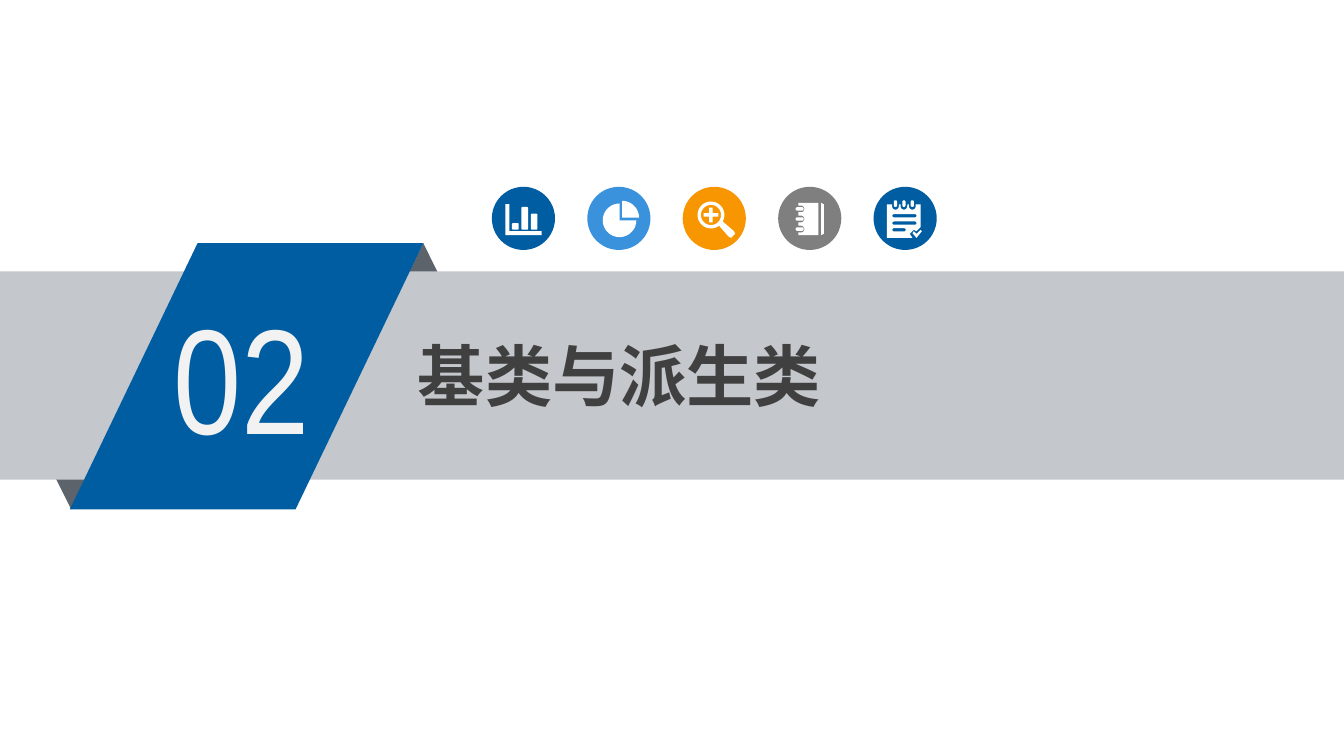
import math
import pptx
import pptx.util
import pptx.dml.color
import pptx.enum.shapes
import pptx.oxml.ns
import lxml.etree

Inches = pptx.util.Inches
Kind = pptx.enum.shapes.MSO_SHAPE


def paint(fill, color):
    fill.solid()
    fill.fore_color.rgb = pptx.dml.color.RGBColor.from_string(color)


def arc(x, y, r, start=5, end=365, w=0, h=0):
    count = max(1, round(abs(end - start) / 10))
    turns = [math.radians(start + (end - start) * i / count) for i in range(count + 1)]
    return [(x + r * math.cos(t) + math.copysign(w, math.cos(t)),
             y + r * math.sin(t) + math.copysign(h, math.sin(t))) for t in turns]


deck = pptx.Presentation()
deck.slide_width = Inches(10)
deck.slide_height = Inches(10 * 9 / 16)
slide = deck.slides.add_slide(deck.slide_layouts[6])

banner = slide.shapes.add_group_shape()
for kind, color, spot in [
    (Kind.ISOSCELES_TRIANGLE, "5D636A", (2.7, 1.81, 0.9, 0.91)),
    (Kind.ISOSCELES_TRIANGLE, "5D636A", (0.08, 2.89, 0.9, 0.9)),
    (Kind.RECTANGLE, "C4C7CB", (0, 2.02, 10, 1.55)),
    (Kind.PARALLELOGRAM, "005DA2", (0.52, 1.81, 2.63, 1.98)),
]:
    shape = banner.shapes.add_shape(kind, *map(Inches, spot))
    paint(shape.fill, color)
    shape.line.fill.background()
    shape.shadow.inherit = False
banner.shapes[1].element.spPr.xfrm.set("flipV", "1")
banner.shapes[3].adjustments[0] = 0.48

for home, words, size, face, color, bold, side, spot in [
    (banner, "02", 80, "Arial Narrow", "F2F2F2", False, 0.07, (1.22, 2.08, 1.45, 1.42)),
    (slide, "基类与派生类", 36, "Noto Sans CJK SC", "404040", True, 0.08, (3.03, 2.45, 5.44, 0.68)),
]:
    frame = home.shapes.add_textbox(*map(Inches, spot)).text_frame
    frame.word_wrap = True
    frame.margin_left = frame.margin_right = Inches(side)
    frame.margin_top = frame.margin_bottom = Inches(0.04)
    frame.text = words
    run = frame.paragraphs[0].runs[0]
    run.font.size = pptx.util.Pt(size)
    run.font.name = face
    run.font.bold = bold
    paint(run.font.fill, color)
    east = lxml.etree.Element(pptx.oxml.ns.qn("a:ea"), typeface=face)
    run._r.get_or_add_rPr().find(pptx.oxml.ns.qn("a:latin")).addnext(east)

chart = [[(10, 13), (13, 13), (13, 33), (37, 33), (37, 36), (10, 36)]]
for x, top in [(17.5, 27), (24.5, 15), (31.5, 20)]:
    chart.append(arc(x, (top + 32) / 2, 1, w=1.5, h=(32 - top) / 2 - 1))

pie = [[(26, 23)] + arc(26, 23, 12.5, 270, 360),
       [(24, 25)] + arc(24, 25, 12.5, 0, 270)]

lens = [arc(21, 21, 10, 53, 389) + [(38, 33), (39, 35), (36, 38), (34, 37)],
        arc(21, 21, 7.5),
        [(15.5, 19.7), (19.7, 19.7), (19.7, 15.5), (22.3, 15.5), (22.3, 19.7), (26.5, 19.7),
         (26.5, 22.3), (22.3, 22.3), (22.3, 26.5), (19.7, 26.5), (19.7, 22.3), (15.5, 22.3)]]

cover = [(15, 12), (30, 12), (30, 36), (15, 36)]
book = [cover, [(32, 12), (34, 13), (34, 35), (32, 36)]]
for y in [31.5, 24, 16.5]:
    cover += [(15, y + 2.5)] + arc(17, y, 2.5, 90, -90) + [(15, y - 2.5)]
    book.append(arc(16, y, 1.3, w=1.7))

sheet = [(10, 13)]
pad = [sheet]
for x in [16.3, 22.6, 28.9]:
    sheet += [(x - 2.5, 13)] + arc(x, 14.5, 2.5, 180, 0) + [(x + 2.5, 13)]
    pad.append(arc(x, 12.5, 1.2, h=1.3))
sheet += [(35, 13), (35, 30), (32, 33), (30, 32), (27, 35), (29, 38), (10, 38)]
for x, y, w in [(23, 21.5, 7.8), (23, 27, 7.8), (19, 32, 3.8)]:
    pad.append(arc(x, y, 1.2, w=w))
pad.append([(29, 34.5), (30, 33), (32, 35), (35, 32), (36, 33), (32, 38)])

icons = [(6.5, "005DA2", pad), (5.08, "F79600", lens), (5.79, "7F7F7F", book),
         (3.66, "005DA2", chart), (4.37, "3992DB", pie)]
for left, color, rings in icons:
    badge = slide.shapes.add_group_shape()
    disc = badge.shapes.add_shape(Kind.OVAL, Inches(left), Inches(1.39), Inches(0.47), Inches(0.47))
    paths = [[(Inches(left + x / 100), Inches(1.39 + y / 100)) for x, y in ring] for ring in rings]
    pen = badge.shapes.build_freeform(*paths[0][0], scale=1)
    pen.add_line_segments(paths[0][1:], close=True)
    for spots in paths[1:]:
        pen.move_to(*spots[0])
        pen.add_line_segments(spots[1:], close=True)
    mark = pen.convert_to_shape()
    for shape, tint in [(disc, color), (mark, "FFFFFF")]:
        paint(shape.fill, tint)
        shape.line.fill.background()
        shape.shadow.inherit = False

deck.save("out.pptx")
